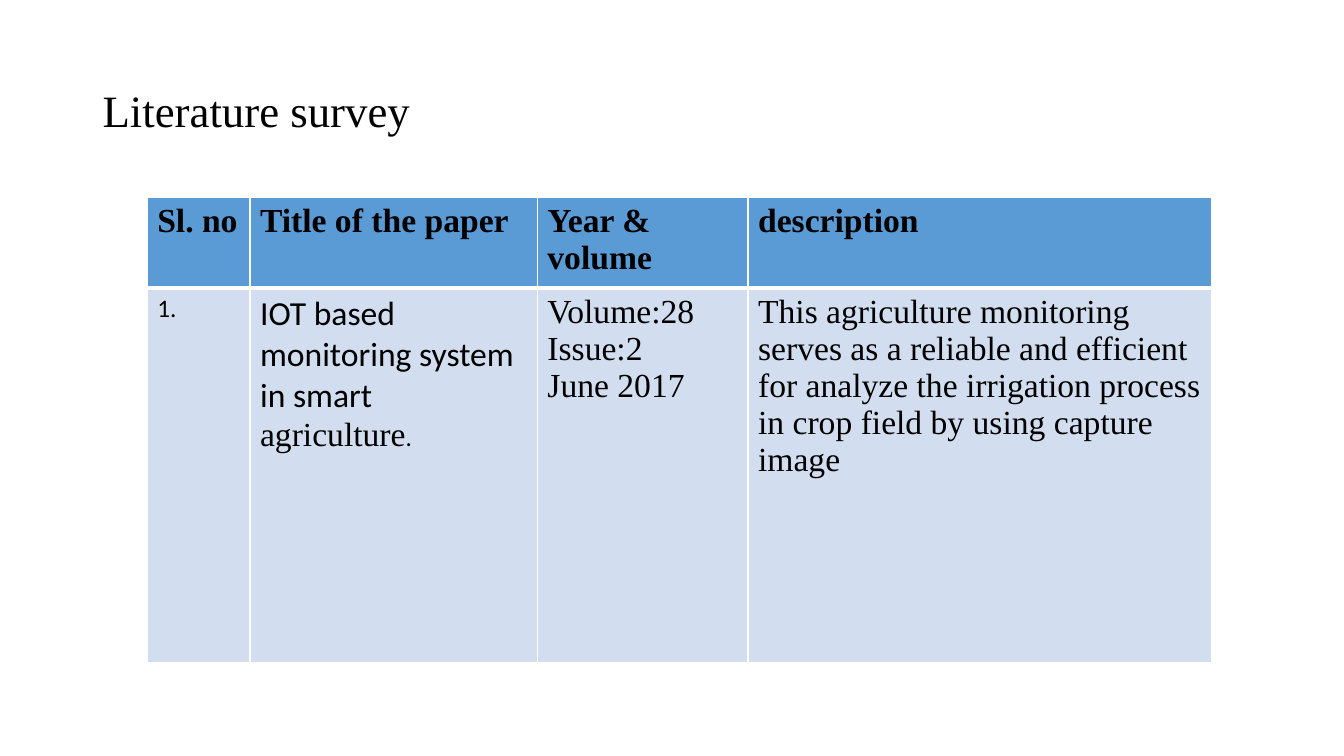
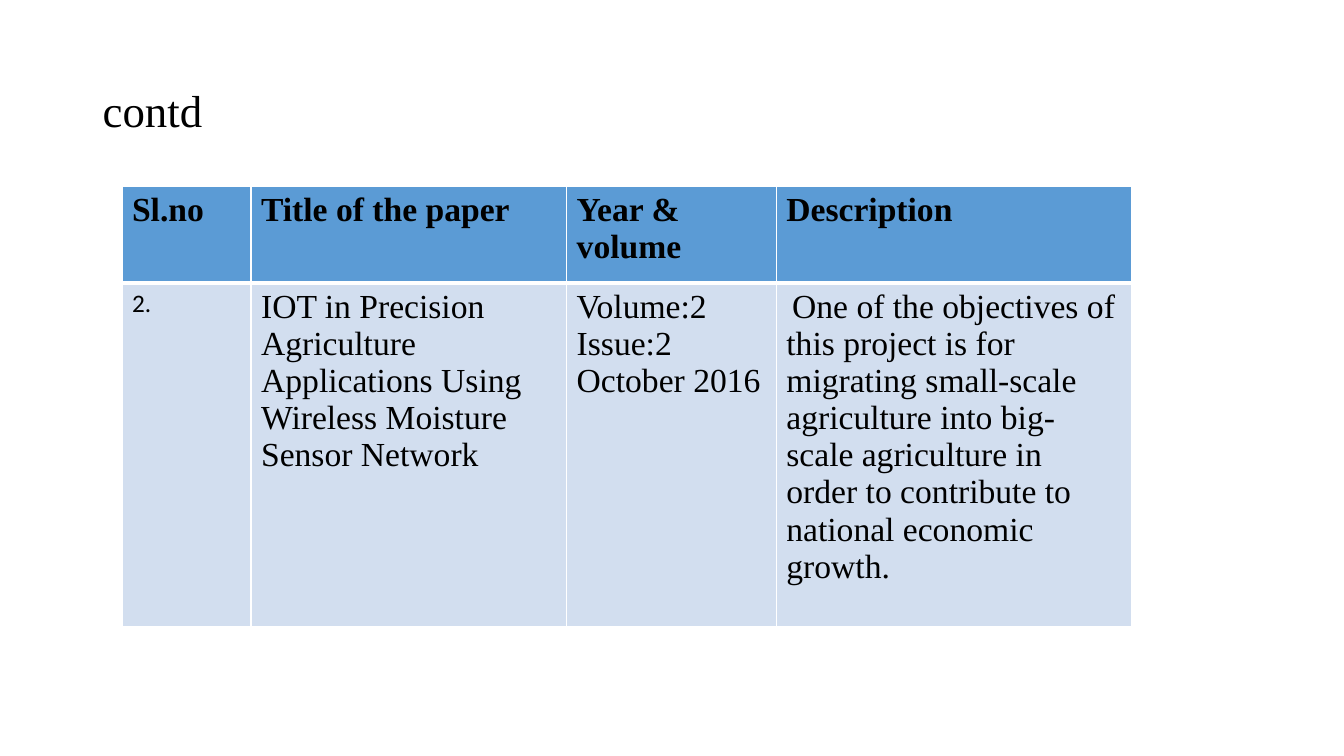
from dataclasses import dataclass
from typing import NamedTuple

from lxml import etree
from pptx import Presentation
from pptx.dml import color
from pptx.enum import text
from pptx.oxml import ns
from pptx.util import Inches, Pt

SERIF = "Times New Roman"
SANS = "Calibri"
BLACK = "000000"
WHITE = "FFFFFF"
BLUE = "5B9BD5"
PALE = "D2DEEF"


class Bit(NamedTuple):
    words: str
    size: float = 24
    face: str = SERIF


Line = list[Bit]
Cell = list[Line]


@dataclass
class Page:
    title: str
    left: float
    top: float
    cols: list[float]
    rows: list[float]
    heads: list[str]
    body: list[Cell]


def rgb(code: str) -> color.RGBColor:
    return color.RGBColor.from_string(code)


def style(run, bit: Bit, bold: bool = False) -> None:
    run.font.name = bit.face
    run.font.size = Pt(bit.size)
    run.font.bold = bold
    run.font.color.rgb = rgb(BLACK)


def plain(*lines: str) -> Cell:
    return [[Bit(line)] for line in lines]


def write(frame, lines: Cell, bold: bool = False) -> None:
    frame.text = "\n".join("" for _ in lines)
    for para, line in zip(frame.paragraphs, lines):
        for bit in line:
            run = para.add_run()
            run.text = bit.words
            style(run, bit, bold)


def edge(cell, side: str, width: float) -> etree._Element:
    line = etree.Element(ns.qn(f"a:ln{side}"), w=str(Pt(width)))
    fill = etree.SubElement(line, ns.qn("a:solidFill"))
    etree.SubElement(fill, ns.qn("a:srgbClr"), val=WHITE)
    return line


def frame(cell, top: float, bottom: float) -> None:
    props = cell._tc.get_or_add_tcPr()
    widths = {"L": 1, "R": 1, "T": top, "B": bottom}
    for spot, (side, width) in enumerate(widths.items()):
        props.insert(spot, edge(cell, side, width))


def head(slide, words: str) -> None:
    box = slide.shapes.add_textbox(
        Inches(0.92), Inches(0.4), Inches(11.5), Inches(1.45)
    ).text_frame
    box.word_wrap = True
    box.vertical_anchor = text.MSO_ANCHOR.MIDDLE
    box.text = words
    para = box.paragraphs[0]
    para.line_spacing = 0.9
    style(para.runs[0], Bit(words, 32))


def grid(slide, page: Page) -> None:
    table = slide.shapes.add_table(
        len(page.rows), len(page.cols), Inches(page.left), Inches(page.top),
        Inches(sum(page.cols)), Inches(sum(page.rows)),
    ).table
    table.horz_banding = False
    for col, width in zip(table.columns, page.cols):
        col.width = Inches(width)
    for row, height in zip(table.rows, page.rows):
        row.height = Inches(height)
    cells = [[plain(word) for word in page.heads], page.body]
    for r, row in enumerate(cells):
        first = r == 0
        for c, lines in enumerate(row):
            cell = table.cell(r, c)
            write(cell.text_frame, lines, bold=first)
            cell.fill.solid()
            cell.fill.fore_color.rgb = rgb(BLUE if first else PALE)
            frame(cell, *((1, 3) if first else (3, 1)))


PAGES = [
    Page(
        "Literature survey", 1.46, 1.96,
        [1.02, 2.85, 2.09, 4.6], [0.82, 3.71],
        ["Sl. no", "Title of the paper", "Year & volume", "description"],
        [
            [[Bit("1.", 18, SANS)]],
            [[
                Bit("IOT based monitoring system in smart ", 24, SANS),
                Bit("agriculture"),
                Bit(".", 18, SANS),
            ]],
            plain("Volume:28", "Issue:2", "June 2017"),
            plain(
                "This agriculture monitoring serves as a reliable and "
                "efficient for analyze the irrigation process in crop field "
                "by using capture image"
            ),
        ],
    ),
    Page(
        "contd", 1.21, 1.85,
        [1.28, 3.13, 2.08, 3.52], [0.96, 3.41],
        ["Sl.no", "Title of the paper", "Year & volume", "Description"],
        [
            [[Bit("2.", 18, SANS)]],
            plain(
                "IOT in Precision Agriculture Applications Using Wireless "
                "Moisture Sensor Network"
            ),
            plain("Volume:2", "Issue:2", "October 2016"),
            [[
                Bit(" ", 18, SANS),
                Bit(
                    "One of the objectives of this project is for migrating "
                    "small-scale agriculture into big-scale agriculture in "
                    "order to contribute to national economic growth."
                ),
            ]],
        ],
    ),
]

deck = Presentation()
deck.slide_width = Inches(13.33)
deck.slide_height = Inches(7.5)
for page in PAGES:
    slide = deck.slides.add_slide(deck.slide_layouts[6])
    head(slide, page.title)
    grid(slide, page)
deck.save("out.pptx")
